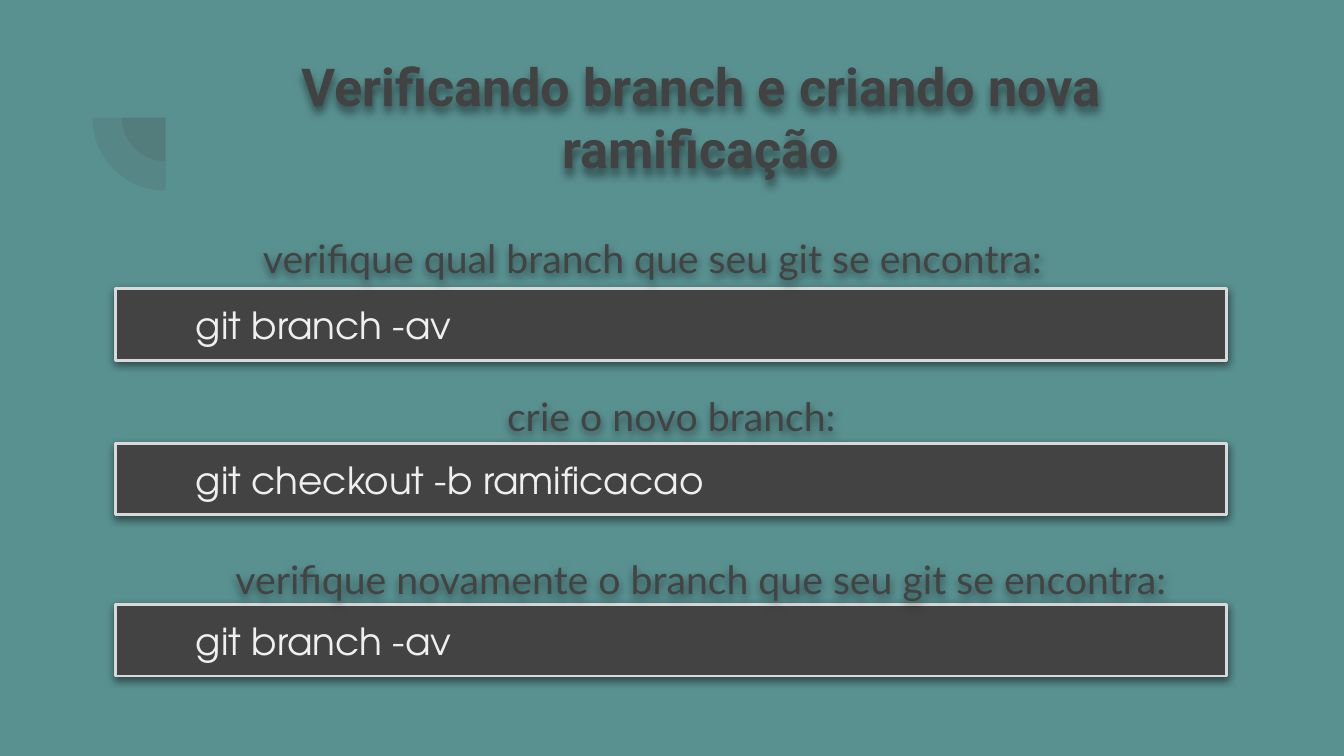
from dataclasses import dataclass

import lxml.etree
import pptx
import pptx.dml.color
import pptx.enum.shapes
import pptx.enum.text
import pptx.oxml
import pptx.oxml.ns
import pptx.util

Pt = pptx.util.Pt
RGBColor = pptx.dml.color.RGBColor
qn = pptx.oxml.ns.qn
Anchor = pptx.enum.text.MSO_ANCHOR
Align = pptx.enum.text.PP_ALIGN
Preset = pptx.enum.shapes.MSO_SHAPE

TEAL = RGBColor(0x59, 0x91, 0x91)
CHARCOAL = RGBColor(0x43, 0x43, 0x43)
TITLE_GRAY = RGBColor(0x42, 0x42, 0x42)
BORDER_GRAY = RGBColor(0xD9, 0xD9, 0xD9)
OFF_WHITE = RGBColor(0xEF, 0xEF, 0xEF)
BLACK = RGBColor(0, 0, 0)

BAR_LEFT, BAR_WIDTH, ROW_HEIGHT = 61.9, 595.4, 38.2
ARC_CENTER_X, ARC_CENTER_Y = 88.7, 63
ARC_RADII = (23.4, 39.2)


@dataclass(frozen=True)
class Step:
    caption: str
    caption_left: float
    caption_top: float
    caption_width: float
    command: str
    bar_top: float


@dataclass(frozen=True)
class TextStyle:
    font: str
    size: float
    color: RGBColor
    bold: bool = False


TITLE_STYLE = TextStyle("Roboto", 28, TITLE_GRAY, True)
CAPTION_STYLE = TextStyle("Lato", 21, CHARCOAL)
COMMAND_STYLE = TextStyle("TeX Gyre Adventor", 20, OFF_WHITE)

STEPS = (
    Step("verifique qual branch que seu git se encontra:",
         115.2, 114.5, 468.7, "git branch -av", 154.8),
    Step("crie o novo branch:",
         125.3, 199.4, 468.7, "git checkout -b ramificacao", 237.6),
    Step("verifique novamente o branch que seu git se encontra:",
         107.3, 286.6, 536.4, "git branch -av", 324),
)


def add_color(parent, color: RGBColor, opacity: int) -> None:
    element = lxml.etree.SubElement(parent, qn("a:srgbClr"), val=str(color))
    lxml.etree.SubElement(element, qn("a:alpha"), val=str(opacity * 1000))


def add_shadow(shape, blur: float, distance: float) -> None:
    properties = shape._element.spPr
    effects = properties.find(qn("a:effectLst"))
    if effects is None:
        effects = lxml.etree.SubElement(properties, qn("a:effectLst"))
    shadow = lxml.etree.SubElement(
        effects, qn("a:outerShdw"), blurRad=str(Pt(blur)), dist=str(Pt(distance)),
        dir="5400000", algn="bl", rotWithShape="0")
    add_color(shadow, BLACK, 50)


def set_text(shape, text: str, style: TextStyle, align: Align, anchor: Anchor):
    frame = shape.text_frame
    frame.text = text
    frame.word_wrap = True
    frame.vertical_anchor = anchor
    frame.margin_left = frame.margin_right = Pt(7.2)
    frame.margin_top = frame.margin_bottom = Pt(7.2)
    paragraph = frame.paragraphs[0]
    paragraph.alignment = align
    font = paragraph.runs[0].font
    font.name = style.font
    font.size = Pt(style.size)
    font.bold = style.bold
    font.color.rgb = style.color
    return paragraph


def add_quarter_arc(slide, radius: float) -> None:
    shape = slide.shapes.add_shape(
        Preset.PIE, Pt(ARC_CENTER_X - radius), Pt(ARC_CENTER_Y - radius),
        Pt(2 * radius), Pt(2 * radius))
    shape.adjustments[0] = 54
    shape.adjustments[1] = 108
    shape.shadow.inherit = False
    shape.line.fill.background()
    shape.fill.solid()
    shape.fill.fore_color.rgb = TITLE_GRAY
    fill = shape._element.spPr.find(qn("a:solidFill"))
    fill.clear()
    add_color(fill, TITLE_GRAY, 13)


def add_title(slide, text: str) -> None:
    title = slide.shapes.add_textbox(Pt(107.3), Pt(21.6), Pt(536.4), Pt(59))
    set_text(title, text, TITLE_STYLE, Align.CENTER, Anchor.TOP)
    add_shadow(title, 4.5, 3)


def add_step(slide, step: Step) -> None:
    bar = slide.shapes.add_shape(
        Preset.RECTANGLE, Pt(BAR_LEFT), Pt(step.bar_top), Pt(BAR_WIDTH), Pt(ROW_HEIGHT))
    bar.shadow.inherit = False
    bar.fill.solid()
    bar.fill.fore_color.rgb = CHARCOAL
    bar.line.color.rgb = BORDER_GRAY
    bar.line.width = Pt(1.5)
    add_shadow(bar, 4.5, 1.5)
    command = set_text(bar, step.command, COMMAND_STYLE, Align.LEFT, Anchor.MIDDLE)
    command._p.get_or_add_pPr().set("marL", str(Pt(36)))

    caption = slide.shapes.add_textbox(
        Pt(step.caption_left), Pt(step.caption_top), Pt(step.caption_width), Pt(ROW_HEIGHT))
    paragraph = set_text(caption, step.caption, CAPTION_STYLE, Align.CENTER, Anchor.TOP)
    paragraph.line_spacing = 1.15
    paragraph.space_after = Pt(16)
    add_shadow(caption, 4.5, 1.5)


def main() -> None:
    presentation = pptx.Presentation()
    presentation.slide_width = Pt(720)
    presentation.slide_height = Pt(405)
    slide = presentation.slides.add_slide(presentation.slide_layouts[6])
    slide.background.fill.solid()
    slide.background.fill.fore_color.rgb = TEAL

    for radius in ARC_RADII:
        add_quarter_arc(slide, radius)
    add_title(slide, "Verificando branch e criando nova ramificação")
    for step in STEPS:
        add_step(slide, step)
    presentation.save("out.pptx")


if __name__ == "__main__":
    main()
